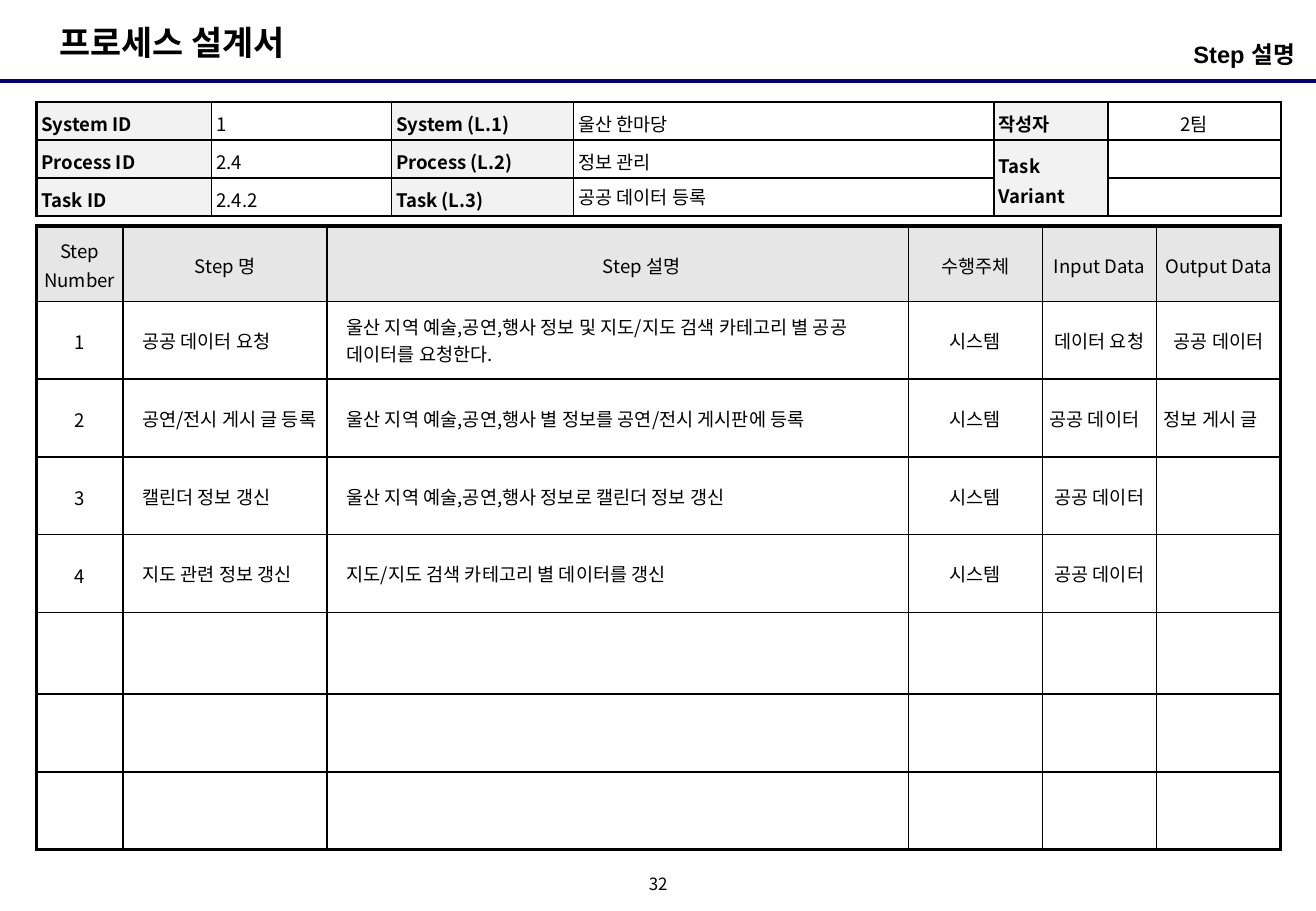
from lxml.etree import SubElement
from pptx import Presentation
from pptx.dml.color import RGBColor
from pptx.enum.shapes import MSO_CONNECTOR as Connector
from pptx.enum.text import MSO_ANCHOR as Anchor, PP_ALIGN as Align
from pptx.oxml.ns import qn
from pptx.util import Inches, Pt

WIDTH, HEIGHT = Inches(10.83), Inches(7.5)
COLORS = {"ink": "000000", "rule": "000080", "label": "F2F2F2", "heading": "E6E6E6"}
KOREAN = "Noto Sans CJK KR"
THIN, MEDIUM, THICK = 1, 1.5, 2.25

TASK_COLUMNS = (144, 148, 150, 346, 94, 142)
TASK_ROWS = (1, 1, 1)
TASK = (
    ("System ID", "1", "System (L.1)", "울산 한마당", "작성자", "2팀"),
    ("Process ID", "2.4", "Process (L.2)", "정보 관리", "Task Variant", ""),
    ("Task ID", "2.4.2", "Task (L.3)", "공공 데이터 등록", "", ""),
)
STEP_COLUMNS = (71, 168, 478, 110, 94, 102)
STEP_ROWS = (62, 64, 64, 64, 64, 67, 64, 64)
STEP_HEADINGS = ("Step Number", "Step 명", "Step 설명", "수행주체", "Input Data", "Output Data")
STEPS = (
    ("1", "공공 데이터 요청",
     "울산 지역 예술,공연,행사 정보 및 지도/지도 검색 카테고리 별 공공 데이터를 요청한다.",
     "시스템", "데이터 요청", "공공 데이터"),
    ("2", "공연/전시 게시 글 등록",
     "울산 지역 예술,공연,행사 별 정보를 공연/전시 게시판에 등록",
     "시스템", "공공 데이터", "정보 게시 글"),
    ("3", "캘린더 정보 갱신", "울산 지역 예술,공연,행사 정보로 캘린더 정보 갱신",
     "시스템", "공공 데이터", ""),
    ("4", "지도 관련 정보 갱신", "지도/지도 검색 카테고리 별 데이터를 갱신",
     "시스템", "공공 데이터", ""),
)
BLANK_STEPS = (("",) * len(STEP_COLUMNS),) * 3


def across(percent):
    return round(WIDTH * percent / 100)


def down(percent):
    return round(HEIGHT * percent / 100)


def color(name):
    return RGBColor.from_string(COLORS[name])


def write(paragraph, text, size=11, bold=False, latin=KOREAN, align=Align.LEFT, spacing=1.0):
    paragraph.alignment = align
    paragraph.line_spacing = spacing
    if not text:
        SubElement(paragraph._p, qn("a:endParaRPr"), sz=str(size * 100))
        return
    run = paragraph.add_run()
    run.text = text
    run.font.size = Pt(size)
    run.font.bold = bold
    run.font.name = latin
    run.font.color.rgb = color("ink")
    SubElement(run._r.get_or_add_rPr(), qn("a:ea"), typeface=KOREAN)


def add_label(slide, box, text, margins=(0.1, 0.05), anchor=Anchor.TOP, **style):
    left, top, width, height = box
    frame = slide.shapes.add_textbox(across(left), down(top), across(width), down(height)).text_frame
    frame.word_wrap = True
    frame.vertical_anchor = anchor
    frame.margin_left = frame.margin_right = Inches(margins[0])
    frame.margin_top = frame.margin_bottom = Inches(margins[1])
    write(frame.paragraphs[0], text, **style)


def add_rule(slide, top):
    rule = slide.shapes.add_connector(Connector.STRAIGHT, 0, down(top), WIDTH, down(top))
    rule.line.color.rgb = color("rule")
    rule.line.width = Pt(THICK)
    SubElement(rule._element.spPr, qn("a:effectLst"))


def add_grid(slide, box, columns, rows):
    left, top, width, height = across(box[0]), down(box[1]), across(box[2]), down(box[3])
    grid = slide.shapes.add_table(len(rows), len(columns), left, top, width, height).table
    grid.first_row = grid.horz_banding = False
    for column, share in zip(grid.columns, columns):
        column.width = round(width * share / sum(columns))
    for row, share in zip(grid.rows, rows):
        row.height = round(height * share / sum(rows))
    return grid


def edge_weights(row, column, row_count, column_count, outer):
    return {
        "L": outer if column == 0 else THIN,
        "R": outer if column == column_count - 1 else THIN,
        "T": outer if row == 0 else THIN,
        "B": outer if row == row_count - 1 else THIN,
    }


def style_cell(cell, weights, fill, margins, anchor):
    for side, weight in weights.items():
        edge = SubElement(cell._tc.get_or_add_tcPr(), qn(f"a:ln{side}"), w=str(Pt(weight)))
        SubElement(SubElement(edge, qn("a:solidFill")), qn("a:srgbClr"), val=COLORS["ink"])
    if fill:
        cell.fill.solid()
        cell.fill.fore_color.rgb = color(fill)
    else:
        cell.fill.background()
    cell.margin_left = cell.margin_right = Inches(margins[0])
    cell.margin_top, cell.margin_bottom = Inches(margins[1]), Inches(margins[2])
    cell.vertical_anchor = anchor


def add_task_table(slide):
    grid = add_grid(slide, (2.77, 11.2, 94.55, 12.5), TASK_COLUMNS, TASK_ROWS)
    grid.cell(1, 4).merge(grid.cell(2, 4))
    for r, values in enumerate(TASK):
        for c, text in enumerate(values):
            cell = grid.cell(r, c)
            weights = edge_weights(r, c, len(TASK_ROWS), len(TASK_COLUMNS), MEDIUM)
            if c >= 4 and r < 2:
                weights["B" if r == 0 else "T"] = MEDIUM
            if cell.is_merge_origin:
                weights["B"] = MEDIUM
            is_label = c % 2 == 0
            style_cell(cell, weights, "label" if is_label else None, (0.04, 0.04, 0.02),
                       Anchor.MIDDLE if c >= 4 else Anchor.TOP)
            write(cell.text_frame.paragraphs[0], text, bold=is_label,
                  align=Align.CENTER if c == 5 else Align.LEFT,
                  spacing=1.0 if (r, c) == (2, 3) or not text else 1.1)


def add_step_table(slide):
    grid = add_grid(slide, (2.77, 24.8, 94.55, 68.5), STEP_COLUMNS, STEP_ROWS)
    for r, values in enumerate((STEP_HEADINGS,) + STEPS + BLANK_STEPS):
        is_heading = r == 0
        for c, text in enumerate(values):
            cell = grid.cell(r, c)
            weights = edge_weights(r, c, len(STEP_ROWS), len(STEP_COLUMNS), THICK)
            style_cell(cell, weights, "heading" if is_heading else None,
                       (0.06, 0.04, 0.04), Anchor.MIDDLE)
            paragraph = cell.text_frame.paragraphs[0]
            is_description = c in (1, 2) and not is_heading
            is_left = is_description or (r == 2 and c >= 4)
            write(paragraph, text, align=Align.LEFT if is_left else Align.CENTER,
                  spacing=1.1 if is_heading or c == 0 else 1.0)
            indent = 0.1 if is_description else 0.39 if is_heading and c == 2 else 0
            paragraph._p.get_or_add_pPr().set("marL", str(Inches(indent)))


def main():
    deck = Presentation()
    deck.slide_width, deck.slide_height = WIDTH, HEIGHT
    slide = deck.slides.add_slide(deck.slide_layouts[6])
    add_rule(slide, 8.93)
    add_label(slide, (3.6, 1.73, 20.87, 5.87), "프로세스 설계서", size=20, bold=True)
    add_label(slide, (48.48, 95.6, 3.05, 3.33), "32", margins=(0, 0), anchor=Anchor.MIDDLE,
              size=10, align=Align.CENTER, spacing=0.8)
    add_task_table(slide)
    add_step_table(slide)
    add_label(slide, (68.24, 3.73, 30.56, 5.2), "Step 설명 ", margins=(0, 0.05),
              size=14, bold=True, latin="Arial", align=Align.RIGHT)
    deck.save("out.pptx")


if __name__ == "__main__":
    main()
